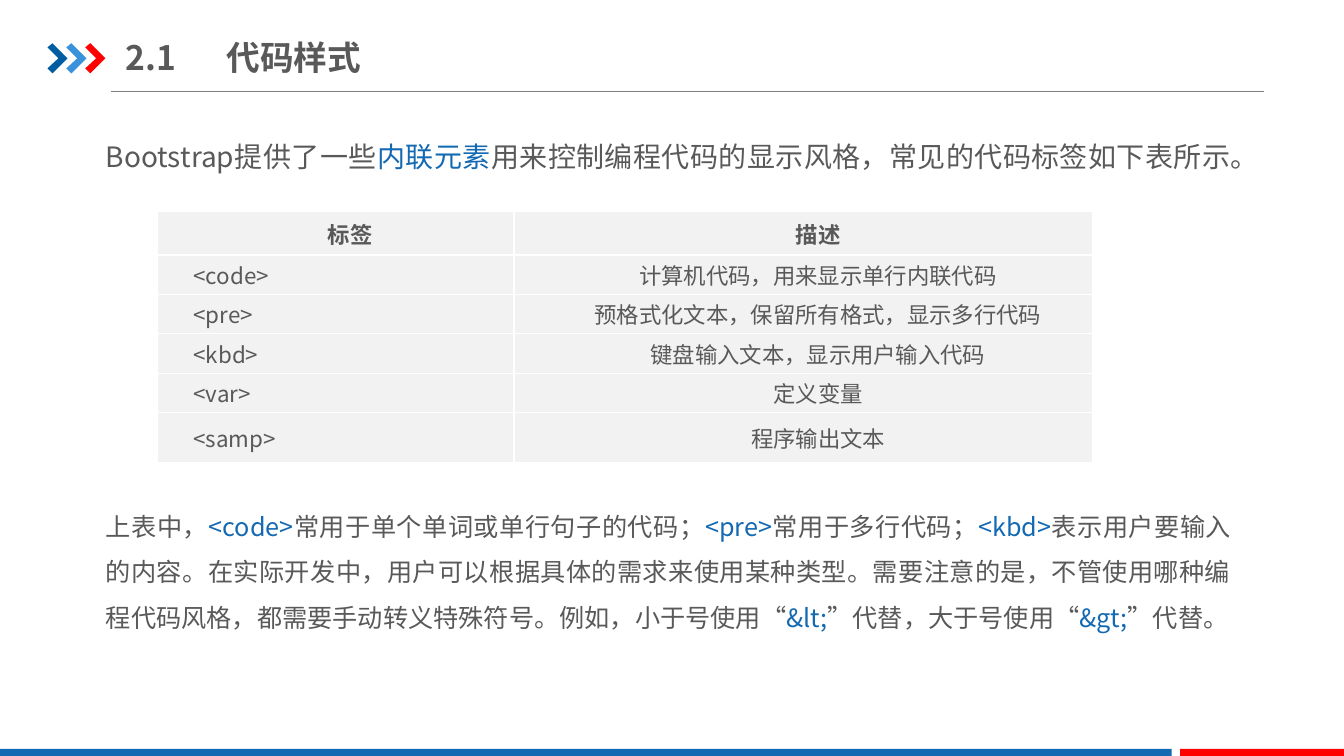
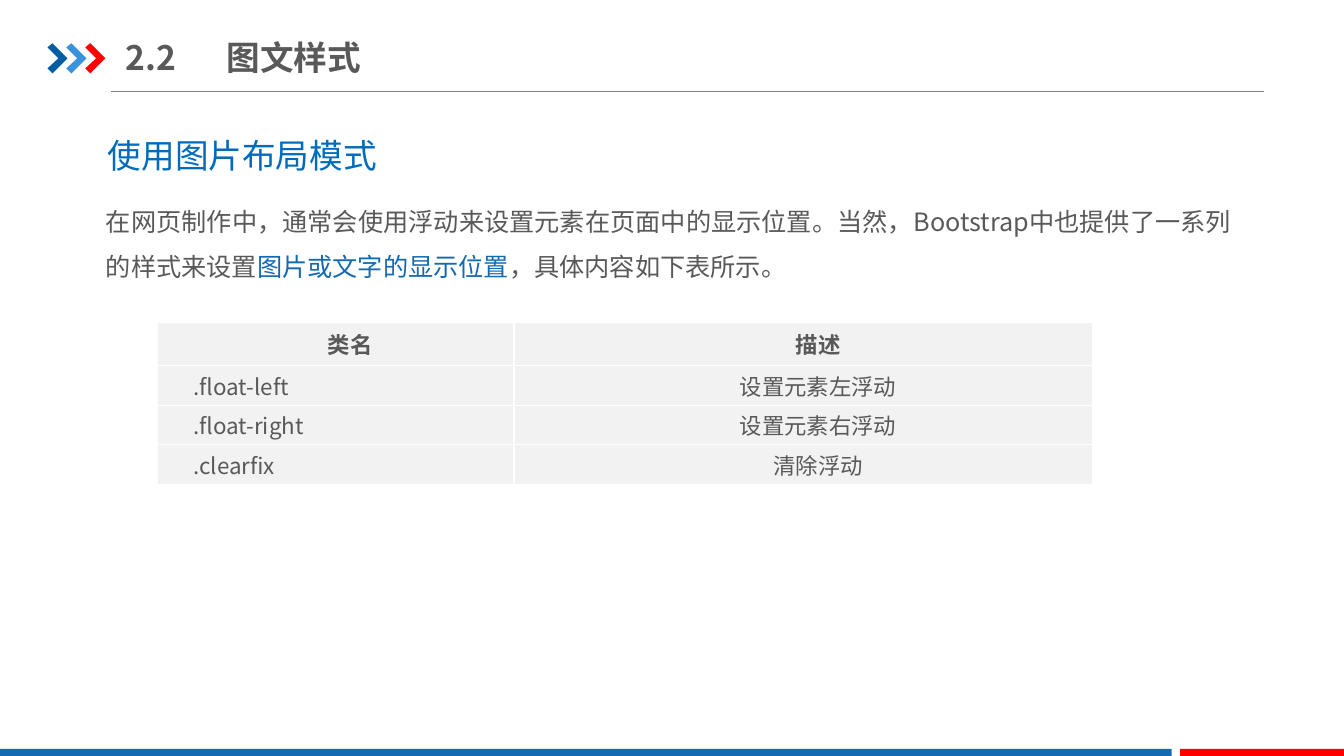
from dataclasses import dataclass

from lxml import etree
from pptx import Presentation
from pptx import util as u
from pptx.dml.color import RGBColor
from pptx.enum import shapes, text
from pptx.oxml.ns import qn


@dataclass(frozen=True)
class Theme:
    font: str = "Noto Sans CJK SC"
    ink: str = "595959"
    accent: str = "1369B2"
    heading: str = "006BBC"
    navy: str = "005DA2"
    sky: str = "3992DB"
    red: str = "FF0000"
    rule: str = "808080"
    cell: str = "F2F2F2"
    white: str = "FFFFFF"
    title_size: int = 24
    lead_size: int = 20
    body_size: int = 18
    table_size: int = 16


T = Theme()
LEFT, CENTER, JUSTIFY = text.PP_ALIGN.LEFT, text.PP_ALIGN.CENTER, text.PP_ALIGN.JUSTIFY

# The slide is a grid of 32 columns by 18 rows of square cells.
COLS, ROWS = 32, 18
prs = Presentation()
prs.slide_width, prs.slide_height = u.Inches(40 / 3), u.Inches(7.5)


def grid(*cells):
    """Turn grid cells into lengths."""
    return [u.Emu(round(c * prs.slide_height / ROWS)) for c in cells]


def write(tf, words, *, size, color=T.ink, bold=False, align=LEFT, spacing=1.0,
          indent=0, tab=None):
    """Fill one paragraph; every second part between bars takes the accent colour."""
    p = tf.paragraphs[0]
    pPr = p._p.get_or_add_pPr()
    pPr.set("marL", "0")
    pPr.set("indent", str(grid(indent)[0]))
    etree.SubElement(pPr, qn("a:buNone"))
    if tab:
        stops = etree.SubElement(pPr, qn("a:tabLst"))
        etree.SubElement(stops, qn("a:tab"), pos=str(grid(tab)[0]), algn="l")
    p.alignment, p.line_spacing, p.space_before = align, spacing, u.Pt(0)
    for i, part in enumerate(words.split("|")):
        r = p.add_run()
        r.text = part
        r.font.size, r.font.bold, r.font.name = u.Pt(size), bold, T.font
        r.font.color.rgb = RGBColor.from_string(T.accent if i % 2 else color)
        etree.SubElement(r._r.get_or_add_rPr(), qn("a:ea"), typeface=T.font)


pages = [
    dict(
        title="2.1\t代码样式",
        texts=[
            ("Bootstrap提供了一些|内联元素|用来控制编程代码的显示风格，常见的代码标签如下表所示。",
             (2.21, 2.76, 27.41, 1.39), dict(size=T.lead_size, align=JUSTIFY)),
            ("上表中，|<code>|常用于单个单词或单行句子的代码；|<pre>|常用于多行代码；|<kbd>|"
             "表示用户要输入的内容。在实际开发中，用户可以根据具体的需求来使用某种类型。"
             "需要注意的是，不管使用哪种编程代码风格，都需要手动转义特殊符号。"
             "例如，小于号使用“|&lt;|”代替，大于号使用“|&gt;|”代替。",
             (2.21, 11.64, 27.41, 4.56), dict(size=T.body_size, align=JUSTIFY)),
        ],
        table_top=5.04,
        row_heights=[1.03, 0.94, 0.94, 0.94, 0.94, 1.18],
        rows=[
            ("标签", "描述"),
            ("<code>", "计算机代码，用来显示单行内联代码"),
            ("<pre>", "预格式化文本，保留所有格式，显示多行代码"),
            ("<kbd>", "键盘输入文本，显示用户输入代码"),
            ("<var>", "定义变量"),
            ("<samp>", "程序输出文本"),
        ],
    ),
    dict(
        title="2.2\t图文样式",
        texts=[
            ("使用图片布局模式", (2.26, 2.57, 25, 1.61),
             dict(size=T.title_size, color=T.heading)),
            ("在网页制作中，通常会使用浮动来设置元素在页面中的显示位置。当然，"
             "Bootstrap中也提供了一系列的样式来设置|图片或文字的显示位置|，具体内容如下表所示。",
             (2.21, 4.37, 27.41, 2.38), dict(size=T.body_size, align=JUSTIFY)),
        ],
        table_top=7.68,
        row_heights=[1.03, 0.94, 0.94, 0.94],
        rows=[
            ("类名", "描述"),
            (".float-left", "设置元素左浮动"),
            (".float-right", "设置元素右浮动"),
            (".clearfix", "清除浮动"),
        ],
    ),
]

# Shared layout: title place, rule, chevrons and footer bars
layout = prs.slide_layouts.get_by_name("Two Content")
for ph in list(layout.placeholders):
    if ph.placeholder_format.idx >= 10:
        ph.element.getparent().remove(ph.element)
    elif ph.placeholder_format.idx == 0:
        ph.left, ph.top, ph.width, ph.height = grid(3, 0.7, 10.22, 1.32)

slides = [prs.slides.add_slide(layout) for page in pages]
canvas = slides[0].shapes

rule = canvas.add_connector(shapes.MSO_CONNECTOR.STRAIGHT, *grid(2.64, 2.18, 30.1, 2.18))
rule.line.color.rgb = RGBColor.from_string(T.rule)
rule.line.width = u.Pt(0.75)
etree.SubElement(rule.element.spPr, qn("a:effectLst"))

filled = []
chevron = [(0, 0.1), (0.12, 0), (0.48, 0.36), (0.12, 0.72), (0, 0.6), (0.26, 0.36)]
for i, color in enumerate((T.navy, T.sky, T.red)):
    points = [grid(1.13 + 0.45 * i + x, 1.03 + y) for x, y in chevron]
    outline = canvas.build_freeform(*points[0])
    outline.add_line_segments(points[1:], close=True)
    filled.append((outline.convert_to_shape(), color))
for left, right, color in ((0, 27.9, T.accent), (28.1, COLS, T.red)):
    bar = canvas.add_shape(shapes.MSO_SHAPE.RECTANGLE,
                           *grid(left, 17.83, right - left, 0.17))
    filled.append((bar, color))
for sp, color in filled:
    sp.fill.solid()
    sp.fill.fore_color.rgb = RGBColor.from_string(color)
    sp.line.fill.background()
    sp.shadow.inherit = False
for sp in [rule] + [sp for sp, _ in filled]:
    layout.shapes.element.append(sp.element)

for s, page in zip(slides, pages):
    title, *bodies = s.placeholders
    tf = title.text_frame
    tf.margin_left = tf.margin_right = 0
    tf.vertical_anchor = text.MSO_ANCHOR.MIDDLE
    write(tf, page["title"], size=T.title_size, bold=True, tab=1.76)

    for body, (words, place, style) in zip(bodies, page["texts"]):
        body.left, body.top, body.width, body.height = grid(*place)
        tf = body.text_frame
        tf.word_wrap = True
        tf.auto_size = text.MSO_AUTO_SIZE.SHAPE_TO_FIT_TEXT
        tf.vertical_anchor = text.MSO_ANCHOR.TOP
        tf.margin_left, tf.margin_right, tf.margin_top, tf.margin_bottom = grid(
            0.31, 0.31, 0.17, 0.17)
        write(tf, words, spacing=1.5, **style)

    widths, heights, rows = (8.5, 13.78), page["row_heights"], page["rows"]
    table = s.shapes.add_table(
        len(rows), len(widths),
        *grid(3.74, page["table_top"], sum(widths), sum(heights))).table
    table.first_row = table.horz_banding = False
    for column, width in zip(table.columns, grid(*widths)):
        column.width = width
    for row, height in zip(table.rows, grid(*heights)):
        row.height = height
    for i, row in enumerate(rows):
        for j, words in enumerate(row):
            cell = table.cell(i, j)
            cell.margin_left = cell.margin_right = grid(0.17)[0]
            cell.margin_top = cell.margin_bottom = 0
            cell.vertical_anchor = text.MSO_ANCHOR.MIDDLE
            for side in ("lnL", "lnR", "lnT", "lnB"):
                ln = etree.SubElement(cell._tc.get_or_add_tcPr(), qn("a:" + side),
                                      w=str(u.Pt(1)))
                fill = etree.SubElement(ln, qn("a:solidFill"))
                etree.SubElement(fill, qn("a:srgbClr"), val=T.white)
            cell.fill.solid()
            cell.fill.fore_color.rgb = RGBColor.from_string(T.cell)
            write(cell.text_frame, words, size=T.table_size, bold=i == 0, indent=0.7,
                  align=CENTER if i == 0 or j else LEFT)

prs.save("out.pptx")
